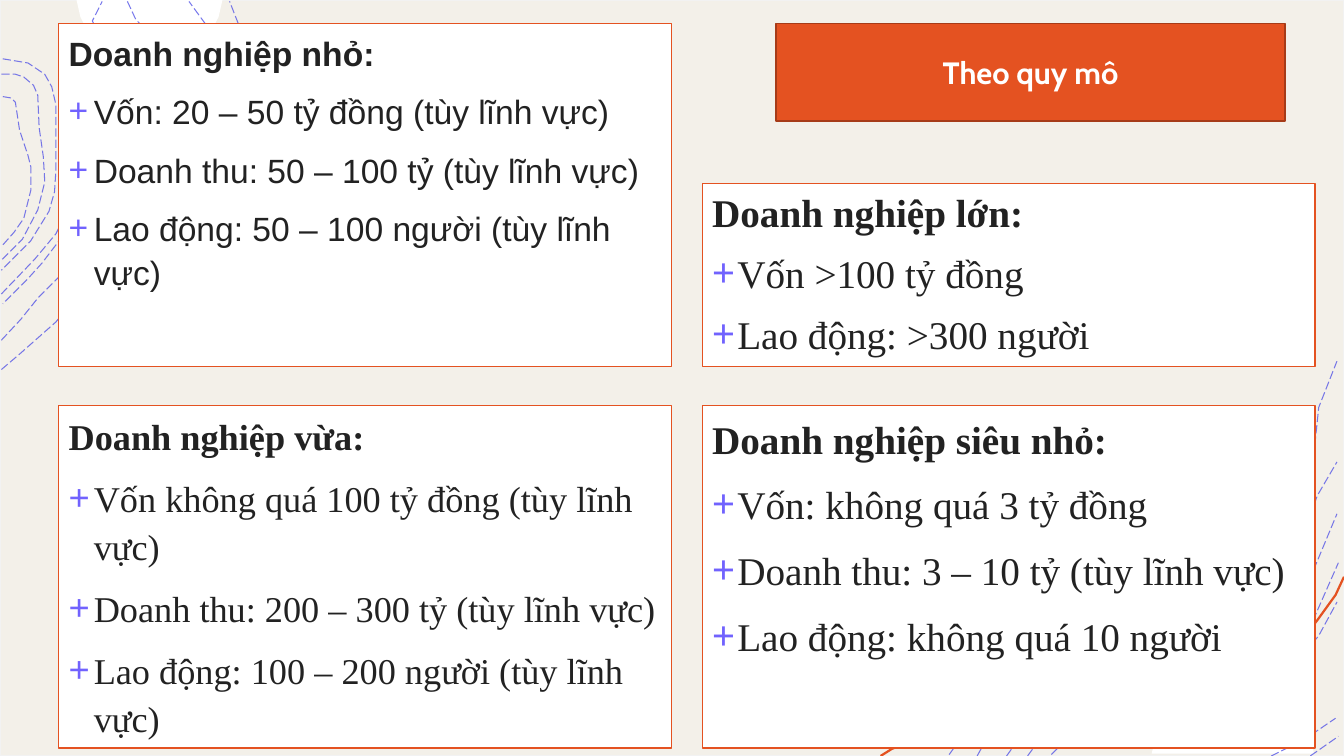
from dataclasses import dataclass
from math import cos, radians, sin

from lxml.etree import SubElement
from pptx import Presentation
from pptx.dml.color import RGBColor
from pptx.enum.dml import MSO_LINE_DASH_STYLE as Dash
from pptx.enum.shapes import MSO_SHAPE as Preset
from pptx.enum.text import MSO_ANCHOR as Anchor, PP_ALIGN as Align
from pptx.oxml.ns import qn
from pptx.shapes.autoshape import Shape
from pptx.text.text import TextFrame
from pptx.util import Pt

Point = tuple[float, float]

WIDTH, HEIGHT = 960, 540
CREAM, WHITE, ORANGE, RUST = "F3F0E9", "FFFFFF", "E45221", "A63B18"
INK, VIOLET, CONTOUR_BLUE, EDGE = "222222", "7162FE", "4D4EE6", "F2F2F2"


@dataclass
class Panel:
    left: float
    top: float
    height: float
    font: str
    size: float
    spacing: float
    heading: str
    items: list[str]


LEFT_X, RIGHT_X, PANEL_WIDTH = 41.9, 501.6, 437.8
TOP_Y, BOTTOM_Y, PANEL_HEIGHT = 17, 289.6, 244.8
TIMES = "Times New Roman"

PANELS = [
    Panel(LEFT_X, TOP_Y, PANEL_HEIGHT, "Arial", 24, 1.1, "Doanh nghiệp nhỏ:", [
        "Vốn: 20 – 50 tỷ đồng (tùy lĩnh vực)",
        "Doanh thu: 50 – 100 tỷ (tùy lĩnh vực)",
        "Lao động: 50 – 100 người (tùy lĩnh vực)"]),
    Panel(LEFT_X, BOTTOM_Y, PANEL_HEIGHT, TIMES, 25.9, 1.1, "Doanh nghiệp vừa:", [
        "Vốn không quá 100 tỷ đồng (tùy lĩnh vực)",
        "Doanh thu: 200 – 300 tỷ (tùy lĩnh vực)",
        "Lao động: 100 – 200 người (tùy lĩnh vực)"]),
    Panel(RIGHT_X, 131, 130.8, TIMES, 28, 1.0, "Doanh nghiệp lớn:", [
        "Vốn >100 tỷ đồng",
        "Lao động: >300 người"]),
    Panel(RIGHT_X, BOTTOM_Y, PANEL_HEIGHT, TIMES, 28, 1.1, "Doanh nghiệp siêu nhỏ:", [
        "Vốn: không quá 3 tỷ đồng",
        "Doanh thu: 3 – 10 tỷ (tùy lĩnh vực)",
        "Lao động: không quá 10 người"]),
]

# Points along each background line, as "x,y" pairs
SWOOSH = "629,540 637,535 666,523 707,515 795,506 857,492 896,484 931,456 941,443 954,425 960,412"
LEFT_CONTOURS = [
    "1,264 14,253 40,230 48,220 62,209 91,194 115,161 130,123 170,66 174,38 173,24 164,1",
    "1,243 15,228 27,213 46,194 78,158 99,121 143,74 157,40 154,27 135,1",
    "91,1 97,14 102,19 119,33 125,48 112,78 75,99 60,136 50,163 43,171 30,188 20,199 2,217",
    "1,210 25,185 40,167 50,147 60,99 73,76 101,71 109,58 99,41 71,25 66,15 73,1",
    "2,42 20,45 32,53 37,62 40,75 40,121 39,137 35,151 22,172 1,193",
    "1,53 11,53 17,55 24,61 27,68 28,91 31,112 32,130 27,150 16,171 1,186",
    "2,69 8,70 11,73 14,93 20,111 22,119 22,136 17,156 10,166 2,175",
]
RIGHT_CONTOURS = [
    "678,539 683,532 710,500 776,454 819,453 873,426 916,382 930,355 939,320 942,291 955,258",
    "698,540 709,520 741,487 794,459 824,462 877,432 909,405 932,379 941,354 955,330",
    "936,540 956,526",
    "908,540 932,528 954,513",
    "751,539 765,525 780,514 824,503 855,506 910,482 929,470 942,454 955,430",
    "734,540 748,521 772,505 852,490 915,470 938,443 956,402",
    "719,540 729,526 750,504 792,486 852,474 913,444 935,415 955,367",
]


def color(value: str) -> RGBColor:
    return RGBColor.from_string(value)


def paint(shape: Shape, fill: str | None = None, line: str | None = None, width: float = 1) -> None:
    shape.shadow.inherit = False
    if fill:
        shape.fill.solid()
        shape.fill.fore_color.rgb = color(fill)
    else:
        shape.fill.background()
    if line:
        shape.line.color.rgb = color(line)
        shape.line.width = Pt(width)
    else:
        shape.line.fill.background()


def add_box(left: float, top: float, width: float, height: float, fill: str, line: str) -> Shape:
    shape = slide.shapes.add_shape(Preset.RECTANGLE, Pt(left), Pt(top), Pt(width), Pt(height))
    paint(shape, fill, line)
    shape.text_frame.word_wrap = True
    return shape


def add_text(frame: TextFrame, text: str, *, font: str, size: float, ink: str = INK,
             bold: bool = False, align: Align = Align.LEFT, spacing: float = 1.0,
             bullet: str | None = None) -> None:
    first = frame.paragraphs[0]
    paragraph = frame.add_paragraph() if first.runs else first
    paragraph.alignment = align
    paragraph.line_spacing = spacing
    run = paragraph.add_run()
    run.text = text
    run.font.name, run.font.size, run.font.bold = font, Pt(size), bold
    run.font.color.rgb = color(ink)
    if bullet:
        paragraph.space_before = Pt(10)
        properties = paragraph._p.get_or_add_pPr()
        properties.set("marL", str(Pt(18)))
        properties.set("indent", str(-Pt(18)))
        SubElement(SubElement(properties, qn("a:buClr")), qn("a:srgbClr"), val=VIOLET)
        SubElement(properties, qn("a:buFont"), typeface="Arial")
        SubElement(properties, qn("a:buChar"), char=bullet)


def read_points(pairs: str) -> list[Point]:
    return [tuple(map(float, pair.split(","))) for pair in pairs.split()]


def arc(x: float, y: float, radius: float, start: int, end: int) -> list[Point]:
    return [(x + radius * cos(radians(angle)), y + radius * sin(radians(angle)))
            for angle in range(start, end + 1, 14)]


def add_outline(shapes, points: list[Point], closed: bool = False) -> Shape:
    start, *rest = [(Pt(x), Pt(y)) for x, y in points]
    builder = shapes.build_freeform(*start)
    builder.add_line_segments(rest, close=closed)
    return builder.convert_to_shape()


def add_contours(contours: list[str]) -> None:
    group = slide.shapes.add_group_shape()
    for pairs in contours:
        shape = add_outline(group.shapes, read_points(pairs))
        paint(shape, line=CONTOUR_BLUE, width=0.75)
        shape.line.dash_style = Dash.LONG_DASH
        for tint in shape.line._ln.iter(qn("a:srgbClr")):
            SubElement(tint, qn("a:alpha"), val="75000")


presentation = Presentation()
presentation.slide_width, presentation.slide_height = Pt(WIDTH), Pt(HEIGHT)
slide = presentation.slides.add_slide(presentation.slide_layouts[6])

# Background with white discs, swoosh and contour lines
add_box(0, 0, WIDTH, HEIGHT, CREAM, EDGE)
for disc in (arc(106.8, -5.8, 52.5, 6, 174), arc(880.6, 544.5, 58.3, 186, 354)):
    paint(add_outline(slide.shapes, disc, closed=True), WHITE)
paint(add_outline(slide.shapes, read_points(SWOOSH)), line=ORANGE, width=1.6)
add_contours(LEFT_CONTOURS)
add_contours(RIGHT_CONTOURS)

# Panels, one for each size of business
for panel in PANELS:
    box = add_box(panel.left, panel.top, PANEL_WIDTH, panel.height, WHITE, ORANGE)
    box.text_frame.vertical_anchor = Anchor.TOP
    style = dict(font=panel.font, size=panel.size, spacing=panel.spacing)
    add_text(box.text_frame, panel.heading, bold=True, **style)
    for item in panel.items:
        add_text(box.text_frame, item, bullet="+", **style)

# Title
title = add_box(554.2, TOP_Y, 363.8, 69.4, ORANGE, RUST)
title.text_frame.vertical_anchor = Anchor.MIDDLE
add_text(title.text_frame, "Theo quy mô", font="Cabin", size=22, ink=WHITE, bold=True,
         align=Align.CENTER)

presentation.save("out.pptx")
